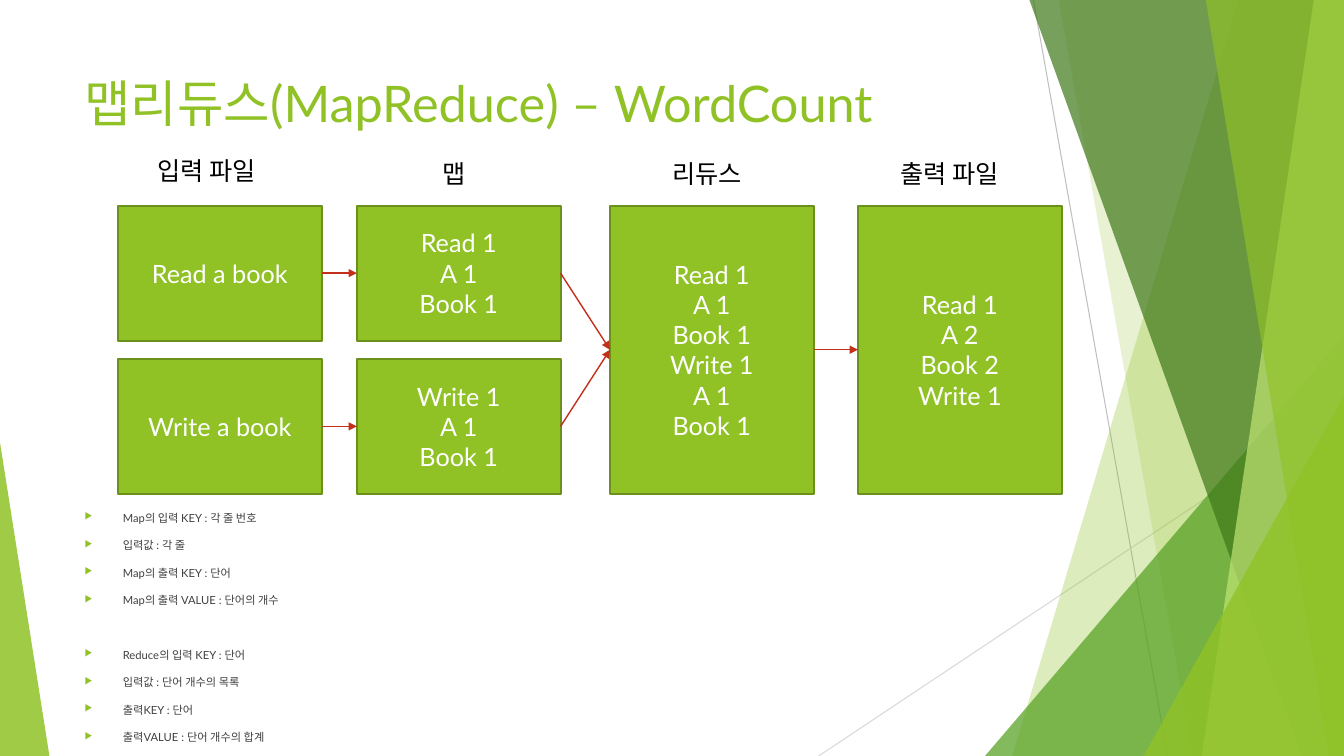
import pptx
import pptx.dml.color
import pptx.enum.shapes
import pptx.enum.text
import pptx.oxml.ns
import pptx.util
from lxml import etree

WIDTH, HEIGHT = 13.33, 7.5
FONT = "Lato"
GREEN, DARK_GREEN, RED = "90C226", "6B901C", "C42F1A"

COLUMNS = {"input": 1.17, "map": 3.54, "reduce": 6.05, "output": 8.51}
BOX_WIDTH, BOX_HEIGHT = 2.02, 1.34
ROW_TOP, ROW_STEP = 2.04, 1.52
LEFT_SITE, RIGHT_SITE = 1, 3

HEADINGS = [
    ("입력 파일", 1.46, 1.49),
    ("맵", 4.29, 1.52),
    ("리듀스", 6.57, 1.52),
    ("출력 파일", 8.83, 1.52),
]
# Each band: top-left x, top-right x, bottom-right x, bottom-left x
BACK_BANDS = [
    ((12.28, WIDTH, WIDTH, 10.04), GREEN, 30),
    ((10.5, WIDTH, WIDTH, 11.83), GREEN, 20),
]
FRONT_BANDS = [
    ((10.21, WIDTH, WIDTH, 12.91), "3F7819", 70),
    ((13.03, WIDTH, WIDTH, 11.92), "C0E474", 70),
    ((11.96, WIDTH, WIDTH, 13.18), GREEN, 65),
]
MAP_NOTES = [
    "Map의 입력 KEY : 각 줄 번호",
    "입력값 : 각 줄",
    "Map의 출력 KEY : 단어",
    "Map의 출력 VALUE : 단어의 개수",
]
REDUCE_NOTES = [
    "Reduce의 입력 KEY : 단어",
    "입력값 : 단어 개수의 목록",
    "출력KEY : 단어",
    "출력VALUE : 단어 개수의 합계",
]


def color(value):
    return pptx.dml.color.RGBColor.from_string(value)


def inches(*values):
    return [pptx.util.Inches(value) for value in values]


def add_xml(parent, tag, **attributes):
    return etree.SubElement(parent, pptx.oxml.ns.qn(tag), attributes)


def style_paragraph(para, size, text_color):
    para.font.name = FONT
    para.font.size = pptx.util.Pt(size)
    para.font.color.rgb = color(text_color)


def tint(shape, fill, opacity):
    """Give a borderless shape a see-through fill."""
    shape.shadow.inherit = False
    shape.line.fill.background()
    shape.fill.solid()
    shape.fill.fore_color.rgb = color(fill)
    solid = shape.element.spPr.find(".//" + pptx.oxml.ns.qn("a:srgbClr"))
    add_xml(solid, "a:alpha", val=str(opacity * 1000))


def add_band(page, edges, fill, opacity):
    points = [tuple(inches(x, y)) for x, y in zip(edges, (0, 0, HEIGHT, HEIGHT))]
    builder = page.shapes.build_freeform(*points[0])
    builder.add_line_segments(points[1:], close=True)
    tint(builder.convert_to_shape(), fill, opacity)


def add_corner(page, left, top, width, apex, fill, opacity):
    """Add a right triangle standing on the bottom edge; apex 0 is left, 1 is right."""
    shape = page.shapes.add_shape(
        pptx.enum.shapes.MSO_SHAPE.ISOSCELES_TRIANGLE,
        *inches(left, top, width, HEIGHT - top))
    shape.adjustments[0] = apex
    tint(shape, fill, opacity)


def add_line(page, start, end, line_color, weight):
    line = page.shapes.add_connector(
        pptx.enum.shapes.MSO_CONNECTOR.STRAIGHT, *inches(*start, *end))
    line.line.color.rgb = color(line_color)
    line.line.width = pptx.util.Pt(weight)
    add_xml(line.element.spPr, "a:effectLst")
    return line


def add_arrow(page, source, target):
    arrow = add_line(page, (0, 0), (1, 1), RED, 1)
    arrow.begin_connect(source, RIGHT_SITE)
    arrow.end_connect(target, LEFT_SITE)
    outline = arrow.element.spPr.find(pptx.oxml.ns.qn("a:ln"))
    add_xml(outline, "a:tailEnd", type="triangle")


def add_text(page, text, left, top, width, height, size, text_color):
    box = page.shapes.add_textbox(*inches(left, top, width, height))
    box.text_frame.word_wrap = True
    box.text_frame.text = text
    style_paragraph(box.text_frame.paragraphs[0], size, text_color)


def add_box(page, column, row, lines, rows=1):
    box = page.shapes.add_shape(
        pptx.enum.shapes.MSO_SHAPE.RECTANGLE,
        *inches(COLUMNS[column], ROW_TOP + row * ROW_STEP,
                BOX_WIDTH, BOX_HEIGHT + (rows - 1) * ROW_STEP))
    box.shadow.inherit = False
    box.fill.solid()
    box.fill.fore_color.rgb = color(GREEN)
    box.line.color.rgb = color(DARK_GREEN)
    box.line.width = pptx.util.Pt(1.5)
    box.text_frame.vertical_anchor = pptx.enum.text.MSO_ANCHOR.MIDDLE
    box.text_frame.text = "\n".join(lines)
    for para in box.text_frame.paragraphs:
        para.alignment = pptx.enum.text.PP_ALIGN.CENTER
        style_paragraph(para, 18, "FFFFFF")
    return box


def add_notes(page):
    box = page.shapes.add_textbox(*inches(0.74, 5.02, 9.4, 3.28))
    box.text_frame.word_wrap = True
    box.text_frame.text = "\n".join(MAP_NOTES + REDUCE_NOTES)
    for index, para in enumerate(box.text_frame.paragraphs):
        starts_reduce = index == len(MAP_NOTES)
        para.space_before = pptx.util.Pt(29.6 if starts_reduce else 10)
        properties = para._p.get_or_add_pPr()
        indent = pptx.util.Inches(0.38)
        properties.set("marL", str(indent))
        properties.set("indent", str(-indent))
        add_xml(add_xml(properties, "a:buClr"), "a:srgbClr", val=GREEN)
        add_xml(properties, "a:buSzPct", val="80000")
        add_xml(properties, "a:buChar", char="▶")
        style_paragraph(para, 8, "404040")


def add_backdrop(page):
    add_line(page, (10.25, 0), (11.58, HEIGHT), "BFBFBF", 0.75)
    add_line(page, (WIDTH, 4.03), (8.12, HEIGHT), "D9D9D9", 0.75)
    for band in BACK_BANDS:
        add_band(page, *band)
    add_corner(page, 9.77, 3.33, 3.56, 1, "54A021", 72)
    for band in FRONT_BANDS:
        add_band(page, *band)
    add_corner(page, 11.34, 3.93, 1.99, 1, GREEN, 80)
    add_corner(page, 0, 4.39, 0.49, 0, GREEN, 85)


def add_flow(page):
    reduce_box = add_box(page, "reduce", 0,
                         ["Read 1", "A 1", "Book 1", "Write 1", "A 1", "Book 1"], rows=2)
    output_box = add_box(page, "output", 0,
                         ["Read 1", "A 2", "Book 2", "Write 1"], rows=2)
    for row, verb in enumerate(["Read", "Write"]):
        input_box = add_box(page, "input", row, [f"{verb} a book"])
        map_box = add_box(page, "map", row, [f"{verb} 1", "A 1", "Book 1"])
        add_arrow(page, input_box, map_box)
        add_arrow(page, map_box, reduce_box)
    add_arrow(page, reduce_box, output_box)


def main():
    deck = pptx.Presentation()
    deck.slide_width, deck.slide_height = inches(WIDTH, HEIGHT)
    page = deck.slides.add_slide(deck.slide_layouts[6])
    add_backdrop(page)
    add_text(page, "맵리듀스(MapReduce) – WordCount", 0.74, 0.67, 9.4, 1.44, 36, GREEN)
    for heading, left, top in HEADINGS:
        add_text(page, heading, left, top, 2.6, 0.4, 18, "000000")
    add_flow(page)
    add_notes(page)
    deck.save("out.pptx")


if __name__ == "__main__":
    main()
